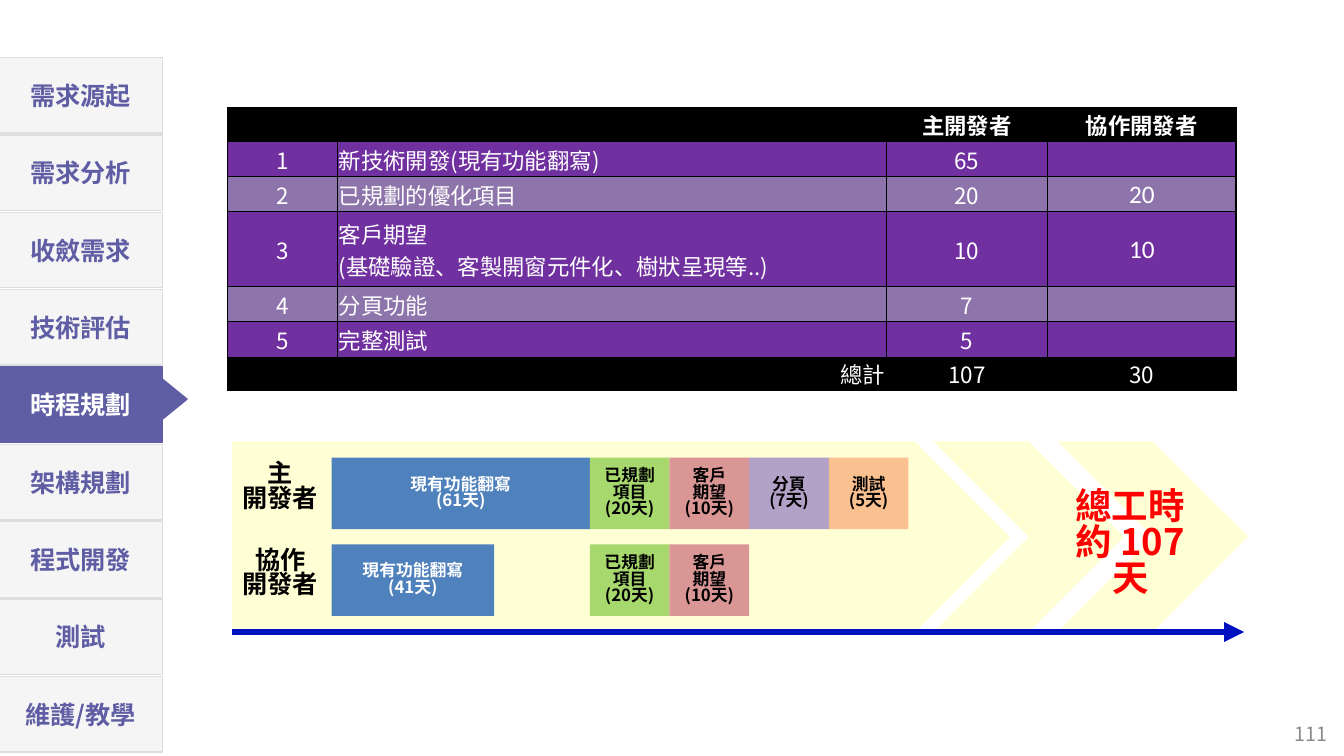
from lxml import etree
from pptx import Presentation
from pptx import util as u
from pptx.dml.color import RGBColor
from pptx.enum import shapes, text
from pptx.oxml.ns import qn

PX = 9144
SANS = "Noto Sans CJK SC"
INDIGO, PALE, EDGE = "5F5EA5", "F6F5F5", "DEDEDE"
BLACK, WHITE, CREAM = "000000", "FFFFFF", "FFFF99"
BLUE, GREEN, ROSE, LILAC, PEACH = "4F81BD", "A6D86E", "D99694", "B3A2C7", "FAC090"

chapters = ["需求源起", "需求分析", "收斂需求", "技術評估", "時程規劃",
            "架構規劃", "程式開發", "測試", "維護/教學"]
current_chapter = "時程規劃"

estimates = [
    ("", "", "主開發者", "協作開發者"),
    ("1", "新技術開發(現有功能翻寫)", "65", ""),
    ("2", "已規劃的優化項目", "20", "20"),
    ("3", "客戶期望\v(基礎驗證、客製開窗元件化、樹狀呈現等..)", "10", "10"),
    ("4", "分頁功能", "7", ""),
    ("5", "完整測試", "5", ""),
    ("", "總計", "107", "30"),
]
column_widths = [109, 544, 160, 187]
row_heights = [31, 35, 35, 74, 35, 35, 31]
row_fills = [BLACK, "7030A0", "8D75AB", "7030A0", "8D75AB", "7030A0", BLACK]

STEP_START, STEP_WIDTH = 585, 79
lanes = [
    (454, "主\n開發者", [
        (329, 256, BLUE, "現有功能翻寫\n(61天)"),
        (STEP_START, STEP_WIDTH, GREEN, "已規劃\n項目\n(20天)"),
        (STEP_START + STEP_WIDTH, STEP_WIDTH, ROSE, "客戶\n期望\n(10天)"),
        (STEP_START + 2 * STEP_WIDTH, STEP_WIDTH, LILAC, "分頁\n(7天)"),
        (STEP_START + 3 * STEP_WIDTH, STEP_WIDTH, PEACH, "測試\n(5天)"),
    ]),
    (540, "協作\n開發者", [
        (329, 161, BLUE, "現有功能翻寫\n(41天)"),
        (STEP_START, STEP_WIDTH, GREEN, "已規劃項目\n(20天)"),
        (STEP_START + STEP_WIDTH, STEP_WIDTH, ROSE, "客戶\n期望\n(10天)"),
    ]),
]
LANE_HEIGHT = 71
BAND_LEFT, BAND_TOP, BAND_HEIGHT = 230, 438, 189
bands = [("PENTAGON", BAND_LEFT, 772), ("CHEVRON", 926, 189), ("CHEVRON", 1049, 189)]
total_effort = "總工時\n約 107天"
page_number = "111"


def px(*lengths):
    return [u.Emu(round(length * PX)) for length in lengths]


def rgb(value):
    return RGBColor.from_string(value)


def add_fill(parent, color):
    fill = etree.SubElement(parent, qn("a:solidFill"))
    etree.SubElement(fill, qn("a:srgbClr"), val=color)


def write(frame, words, size, color, bold=True, align="CENTER", spacing=None, face=SANS):
    frame.text = words
    for paragraph in frame.paragraphs:
        paragraph.alignment = text.PP_ALIGN[align]
        if spacing:
            paragraph.line_spacing = spacing
        for run in paragraph.runs:
            for key, value in {"name": face, "size": u.Pt(size), "bold": bold}.items():
                setattr(run.font, key, value)
            run.font.color.rgb = rgb(color)
            etree.SubElement(run.font._element, qn("a:ea"), typeface=SANS)


def set_frame(frame, anchor, margin):
    side, top = px(margin, 5)
    formats = {"word_wrap": True, "vertical_anchor": text.MSO_ANCHOR[anchor],
               "margin_left": side, "margin_right": side,
               "margin_top": top, "margin_bottom": top}
    for key, value in formats.items():
        setattr(frame, key, value)


def add_block(slide, kind, box, fill, line=None, opacity=None):
    block = slide.shapes.add_shape(shapes.MSO_SHAPE[kind], *px(*box))
    block.shadow.inherit = False
    block.fill.solid()
    block.fill.fore_color.rgb = rgb(fill)
    if opacity:
        shade = block._element.spPr.find(qn("a:solidFill"))[0]
        etree.SubElement(shade, qn("a:alpha"), val=str(opacity * 1000))
    if line:
        block.line.color.rgb = rgb(line)
        block.line.width = u.Pt(1)
    else:
        block.line.fill.background()
    set_frame(block.text_frame, "MIDDLE", 10)
    return block


def add_words(slide, box, words, size, color, anchor="TOP", margin=10, bold=True):
    frame = slide.shapes.add_textbox(*px(*box)).text_frame
    set_frame(frame, anchor, margin)
    write(frame, words, size, color, bold, spacing=0.82)


def add_navigation(slide):
    for index, chapter in enumerate(chapters):
        active = chapter == current_chapter
        tab = add_block(slide, "RECTANGLE", (-1, 57 + 76.75 * index, 162, 75),
                        INDIGO if active else PALE, INDIGO if active else EDGE)
        write(tab.text_frame, chapter, 18, WHITE if active else INDIGO)
    pointer = add_block(slide, "FLOWCHART_EXTRACT", (154, 384, 39, 24), INDIGO, INDIGO)
    pointer.rotation = 90


def set_borders(cell, row, column):
    last_row, last_column = len(estimates) - 1, len(column_widths) - 1
    outer = {"lnL": column == 0, "lnR": column == last_column,
             "lnT": row == 0, "lnB": row == last_row}
    for side, is_outer in outer.items():
        border = etree.SubElement(cell._tc.get_or_add_tcPr(), qn("a:" + side),
                                  w=str(u.Pt(1 if is_outer else 0.5)))
        add_fill(border, BLACK)


def add_estimates(slide):
    grid = slide.shapes.add_table(
        len(estimates), len(column_widths),
        *px(226, 107, sum(column_widths), sum(row_heights))).table
    for column, width in zip(grid.columns, px(*column_widths)):
        column.width = width
    for row, height in zip(grid.rows, px(*row_heights)):
        row.height = height
    for r, values in enumerate(estimates):
        for c, value in enumerate(values):
            cell = grid.cell(r, c)
            set_borders(cell, r, c)
            cell.fill.solid()
            cell.fill.fore_color.rgb = rgb(row_fills[r])
            cell.vertical_anchor = text.MSO_ANCHOR.MIDDLE
            for side, margin in zip(("left", "right", "top", "bottom"), px(1, 1, 1, 0)):
                setattr(cell, "margin_" + side, margin)
            align = "CENTER" if c != 1 else "RIGHT" if r == len(estimates) - 1 else "LEFT"
            shared = c == 3 and 0 < r < len(estimates) - 1
            write(cell.text_frame, value, 18 if shared else 16, WHITE, r == 0, align,
                  face="Calibri" if shared else SANS)
            if not value:
                cell.text_frame.paragraphs[0].font.size = u.Pt(16)


def add_schedule(slide):
    for kind, left, width in bands:
        add_block(slide, kind, (left, BAND_TOP, width, BAND_HEIGHT), CREAM, opacity=40)
    for top, developer, steps in lanes:
        add_words(slide, (BAND_LEFT, top, 96, LANE_HEIGHT), developer, 18, BLACK, margin=5)
        for left, width, fill, words in steps:
            step = add_block(slide, "RECTANGLE", (left, top, width, LANE_HEIGHT), fill)
            write(step.text_frame, words, 12, WHITE if fill == BLUE else BLACK, spacing=0.82)
    add_words(slide, (1037, 482, 168, 98), total_effort, 26, "FF0000", margin=14)

    base = BAND_TOP + BAND_HEIGHT
    timeline = slide.shapes.add_connector(
        shapes.MSO_CONNECTOR.STRAIGHT, *px(BAND_LEFT, base, 1234, base))
    timeline.line.color.rgb = rgb("0012C0")
    timeline.line.width = u.Pt(4.75)
    etree.SubElement(timeline.line._get_or_add_ln(), qn("a:tailEnd"), type="triangle")
    etree.SubElement(timeline._element.spPr, qn("a:effectLst"))


def main():
    deck = Presentation()
    deck.slide_width, deck.slide_height = px(1333, 750)
    slide = deck.slides.add_slide(deck.slide_layouts[6])
    add_navigation(slide)
    add_estimates(slide)
    add_schedule(slide)
    add_words(slide, (1265, 710, 71, 40), page_number, 14, "898989", "MIDDLE", bold=False)
    deck.save("out.pptx")


if __name__ == "__main__":
    main()
